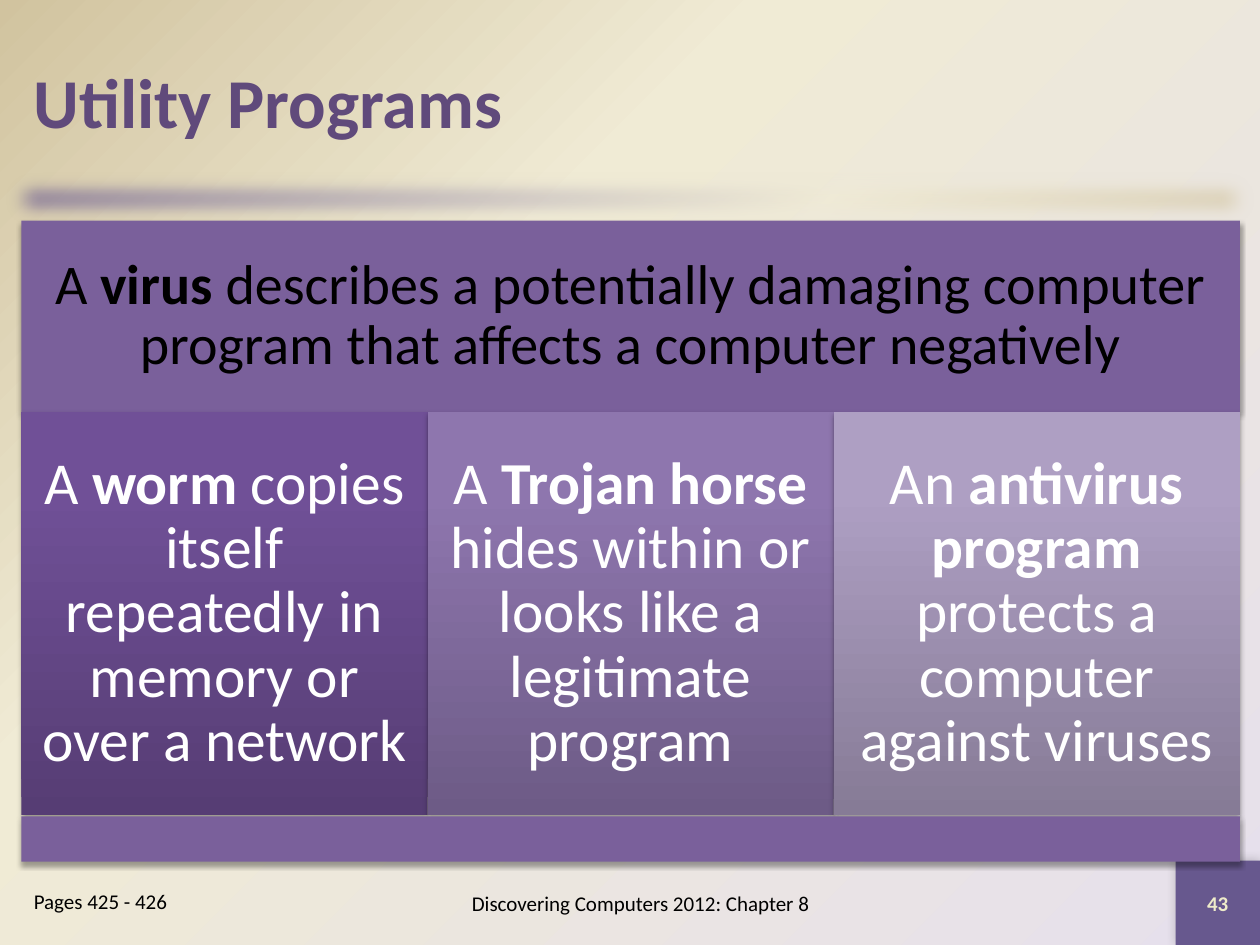
from dataclasses import dataclass

from lxml.etree import SubElement as Sub
from pptx import Presentation
from pptx.dml.color import RGBColor as RGB
from pptx.enum.shapes import MSO_SHAPE as Shape
from pptx.enum.text import MSO_ANCHOR as Anchor, PP_ALIGN as Align
from pptx.oxml.ns import qn
from pptx.util import Inches, Pt


@dataclass(frozen=True)
class Theme:
    font: str = "Calibri"
    title: str = "604A7B"
    band: str = "7A609B"
    tile: str = "67588E"
    number: str = "EEEBCA"
    dark: str = "000000"
    light: str = "FFFFFF"
    back: tuple = ((0, "E6E0EC"), (65, "F0EBD5"), (100, "D1C39F"))
    rule: tuple = ((0, "67588E"), (65, "F0EBD5"), (100, "D1C39F"))
    worm: tuple = ((0, "563D74"), (80, "705097"), (100, "704F99"))
    trojan: tuple = ((0, "6D5B86"), (80, "8E76AE"), (100, "8E75B0"))
    guard: tuple = ((0, "867B96"), (80, "AE9FC3"), (100, "AE9FC4"))
    soft: tuple = (35, 3.1, 1.8, 90)  # opacity, blur, distance, angle
    faint: tuple = (20, 6, 0, 225)
    head: int = 40
    lead: int = 32
    body: int = 34
    small: int = 12


class Deck:
    def __init__(self, theme):
        self.theme = theme
        self.prs = Presentation()
        self.prs.slide_width, self.prs.slide_height = Inches(10), Inches(7.5)
        self.slide = self.prs.slides.add_slide(self.prs.slide_layouts[6])

    def blend(self, fill, root, stops, angle=None):
        """Gradient along an angle, or round the lower right corner."""
        fill.gradient()
        grad = root.xpath(".//a:gradFill")[0]
        for child in list(grad):
            grad.remove(child)
        items = Sub(grad, qn("a:gsLst"))
        for pos, color in stops:
            stop = Sub(items, qn("a:gs"), pos=str(pos * 1000))
            Sub(stop, qn("a:srgbClr"), val=color)
        if angle is None:
            ring = Sub(grad, qn("a:path"), path="circle")
            Sub(ring, qn("a:fillToRect"), l="100000", t="100000")
        else:
            Sub(grad, qn("a:lin"), ang=str(angle * 60000), scaled="0")

    def back(self, stops):
        self.blend(self.slide.background.fill, self.slide.element, stops)

    def box(self, at, fill, angle=270, shadow=None, edge=None):
        rect = self.slide.shapes.add_shape(
            Shape.RECTANGLE, *[Inches(n) for n in at])
        rect.shadow.inherit = False
        if isinstance(fill, str):
            rect.fill.solid()
            rect.fill.fore_color.rgb = RGB.from_string(fill)
        else:
            self.blend(rect.fill, rect.element, fill, angle)
        rect.line.fill.background()
        effects = rect.element.spPr.find(qn("a:effectLst"))
        if shadow:
            alpha, blur, dist, turn = shadow
            outer = Sub(effects, qn("a:outerShdw"), blurRad=str(Pt(blur)),
                        dist=str(Pt(dist)), dir=str(turn * 60000),
                        rotWithShape="0")
            color = Sub(outer, qn("a:srgbClr"), val=self.theme.dark)
            Sub(color, qn("a:alpha"), val=str(alpha * 1000))
        if edge:
            Sub(effects, qn("a:softEdge"), rad=str(Pt(edge)))
        return rect

    def text(self, shape, runs, size, color, align=Align.CENTER,
             anchor=Anchor.MIDDLE, inset=None, lines=None):
        """Fill a shape with runs given as (words, bold) pairs."""
        frame = shape.text_frame
        frame.word_wrap = True
        frame.vertical_anchor = anchor
        if inset is not None:
            frame.margin_left = frame.margin_right = Inches(inset)
            frame.margin_top = frame.margin_bottom = Inches(inset)
        para = frame.paragraphs[0]
        para.alignment = align
        if lines:
            para.line_spacing = lines
        for words, bold in runs:
            run = para.add_run()
            run.text = words
            font = run.font
            font.name, font.size, font.bold = self.theme.font, Pt(size), bold
            font.color.rgb = RGB.from_string(color)

    def label(self, at, runs, size, color, **style):
        area = self.slide.shapes.add_textbox(*[Inches(n) for n in at])
        self.text(area, runs, size, color, **style)


def main():
    look = Theme()
    deck = Deck(look)
    left, wide = 0.17, 9.67

    # Background, soft rule and page number tile
    deck.back(look.back)
    deck.box((0, 1.33, 10, 0.5), look.rule, angle=45, edge=12.5)
    tile = deck.box((9.33, 6.83, 0.67, 0.67), look.tile, shadow=look.faint)
    deck.text(tile, [("43", True)], look.small, look.number)

    # Title
    deck.label((left, 0.17, wide, 1.25), [("Utility Programs", True)],
               look.head, look.title, align=Align.LEFT)

    # Top band
    band = deck.box((left, 1.75, wide, 1.52), look.band, shadow=look.soft)
    deck.text(band, [("A ", False), ("virus", True),
                     (" describes a potentially damaging computer program"
                      " that affects a computer negatively", False)],
              look.lead, look.dark, inset=0.13, lines=0.9)

    # Three columns
    columns = [
        ("A ", "worm", " copies itself repeatedly in memory or over a network",
         look.worm),
        ("A ", "Trojan horse", " hides within or looks like a legitimate program",
         look.trojan),
        ("An ", "antivirus program", " protects a computer against viruses",
         look.guard),
    ]
    step = wide / len(columns)
    for i, (start, term, rest, stops) in enumerate(columns):
        card = deck.box((left + i * step, 3.27, step, 3.2), stops,
                        shadow=look.soft)
        deck.text(card, [(start, False), (term, True), (rest, False)],
                  look.body, look.light, inset=0.14, lines=0.9)

    # Bottom band
    deck.box((left, 6.48, wide, 0.36), look.band, shadow=look.soft)

    # Footer
    deck.label((3, 6.92, 4.17, 0.5),
               [("Discovering Computers 2012: Chapter 8", False)],
               look.small, look.dark)
    deck.label((left, 7, 1.83, 0.5), [("Pages 425 - 426", False)],
               look.small, look.dark, align=Align.LEFT, anchor=Anchor.TOP)

    deck.prs.save("out.pptx")


if __name__ == "__main__":
    main()
